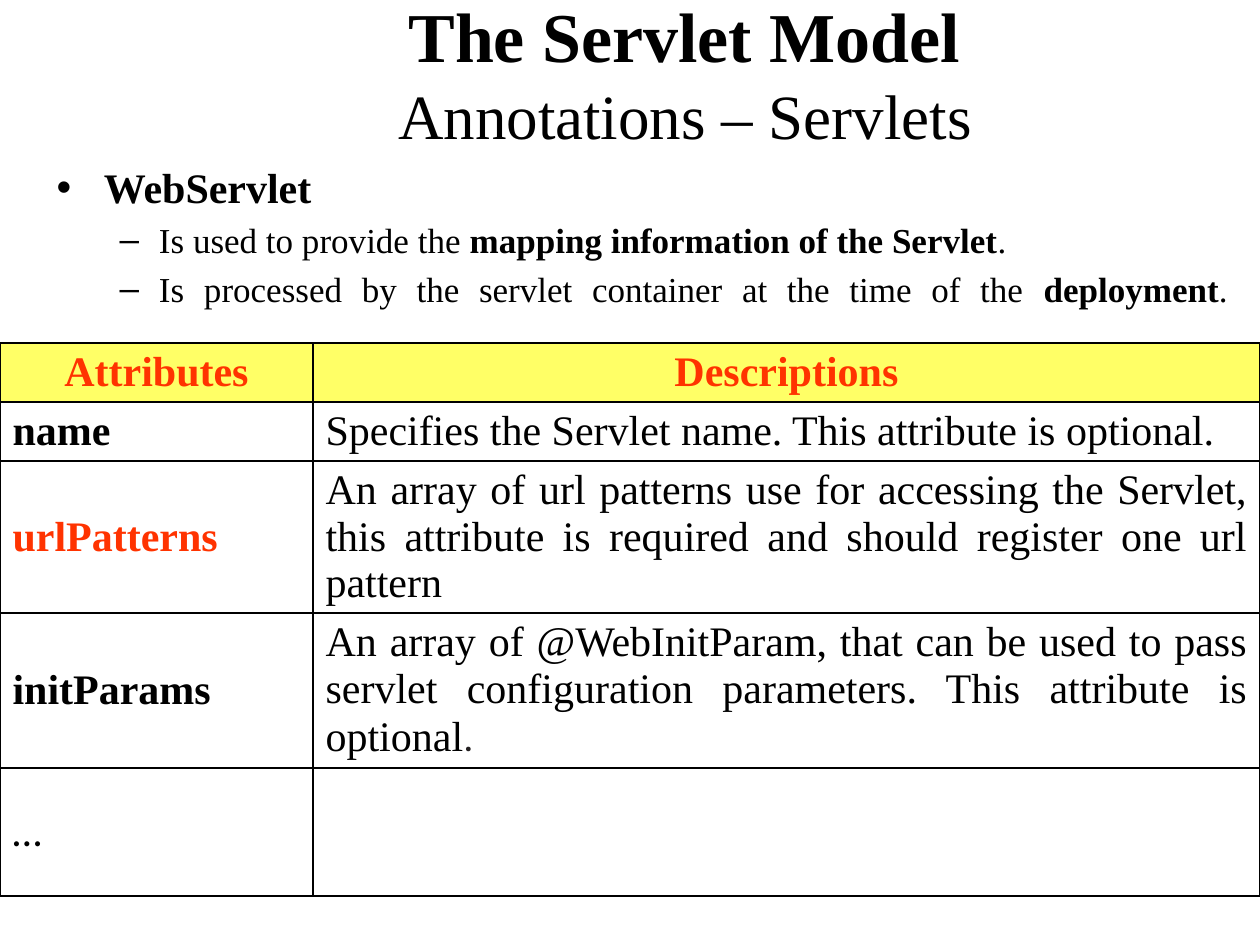
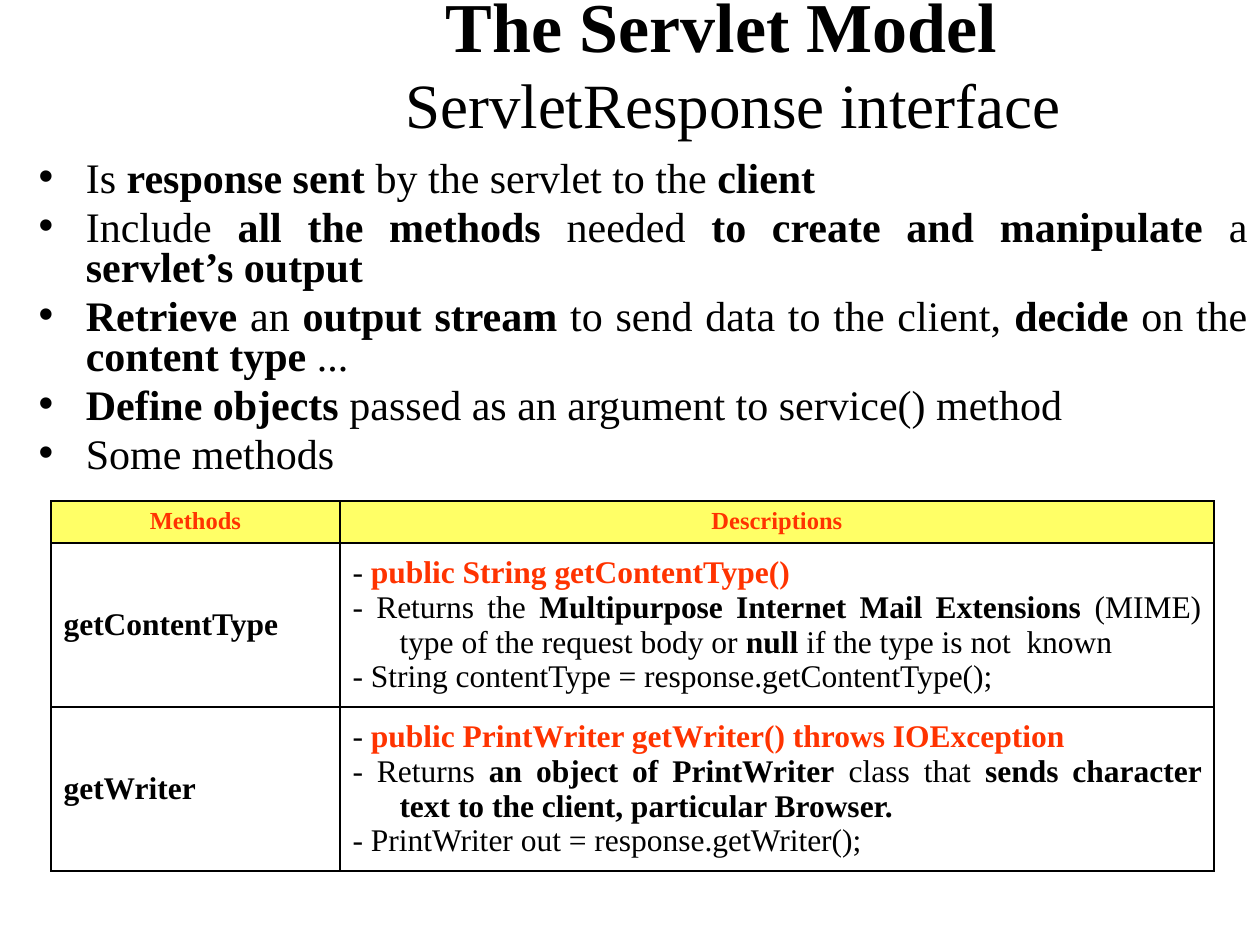
from lxml.etree import SubElement
from pptx import Presentation
from pptx.dml.color import RGBColor
from pptx.enum.text import MSO_ANCHOR, MSO_AUTO_SIZE, PP_ALIGN
from pptx.oxml.ns import qn
from pptx.util import Emu, Pt

EMU_PER_PX = 914400 / 126
HANGING = 47
ACCENT = "FF3300"
HEADER_FILL = "FFFF66"
INK = "000000"
PAPER = "FFFFFF"
SERIF = "Times New Roman"

MARKS = {
    "^": {"bold": True, "color": ACCENT},
    "~": {"name": "Roboto Condensed", "color": "231F20"},
    "%": {"name": "Calibri"},
}


def px(length):
    return Emu(round(length * EMU_PER_PX))


def color(value):
    return RGBColor.from_string(value)


def apply_format(target, values):
    for name, value in values.items():
        setattr(target, name, value)


class Deck:
    def __init__(self, width, height):
        self.presentation = Presentation()
        apply_format(self.presentation, {"slide_width": px(width), "slide_height": px(height)})
        self.slide = None

    def new_slide(self):
        self.slide = self.presentation.slides.add_slide(self.presentation.slide_layouts[1])

    def add_text(self, paragraph, text, size):
        for position, segment in enumerate(text.split("*")):
            if segment == "\n":
                self.line_break(paragraph, size)
            elif segment:
                values = {"name": SERIF, "size": Pt(size), "bold": False, "color": INK}
                if position % 2:
                    values.update(MARKS.get(segment[0], {"bold": True}))
                    segment = segment[1:] if segment[0] in MARKS else segment
                run = paragraph.add_run()
                run.text = segment
                run.font.color.rgb = color(values.pop("color"))
                apply_format(run.font, values)

    def line_break(self, paragraph, size):
        paragraph.add_line_break()
        SubElement(paragraph._p[-1], qn("a:rPr"), sz=str(size * 100))

    def place(self, shape, box, **frame_format):
        apply_format(shape, dict(zip(("left", "top", "width", "height"), map(px, box))))
        frame = shape.text_frame
        apply_format(frame, {"word_wrap": True, "auto_size": MSO_AUTO_SIZE.NONE, **frame_format})
        return frame

    def title(self, box, lines, break_size, **paragraph_format):
        frame = self.place(self.slide.shapes.title, box, vertical_anchor=MSO_ANCHOR.MIDDLE)
        paragraph = frame.paragraphs[0]
        apply_format(paragraph, {"alignment": PP_ALIGN.CENTER, **paragraph_format})
        first_line, *second_line = lines
        self.add_text(paragraph, *first_line)
        self.line_break(paragraph, break_size)
        for text, size in second_line:
            self.add_text(paragraph, text, size)

    def bullets(self, box, items, **paragraph_format):
        frame = self.place(self.slide.placeholders[1], box)
        for index, (level, size, text) in enumerate(items):
            paragraph = frame.add_paragraph() if index else frame.paragraphs[0]
            apply_format(paragraph, {"level": level, "alignment": PP_ALIGN.JUSTIFY, **paragraph_format})
            self.add_text(paragraph, text, size)

    def table(self, left, top, widths, heights, rows, header_size, size, hanging=0):
        table = self.slide.shapes.add_table(
            len(rows), len(widths), px(left), px(top), px(sum(widths)), px(sum(heights))
        ).table
        apply_format(table, {"first_row": False, "horz_banding": False})
        for column, width in zip(table.columns, widths):
            column.width = px(width)
        for row, height in zip(table.rows, heights):
            row.height = px(height)
        for row_index, row in enumerate(rows):
            for column_index, text in enumerate(row):
                cell = table.cell(row_index, column_index)
                if row_index == 0:
                    self.cell(cell, text, header_size, HEADER_FILL, PP_ALIGN.CENTER, MSO_ANCHOR.TOP)
                else:
                    alignment = PP_ALIGN.JUSTIFY if column_index else PP_ALIGN.LEFT
                    self.cell(cell, text, size, PAPER, alignment, MSO_ANCHOR.MIDDLE, hanging)

    def cell(self, cell, text, size, fill, alignment, anchor, hanging=0):
        cell.vertical_anchor = anchor
        properties = cell._tc.get_or_add_tcPr()
        for side in ("a:lnL", "a:lnR", "a:lnT", "a:lnB"):
            line = SubElement(properties, qn(side), w=str(Pt(1)))
            SubElement(SubElement(line, qn("a:solidFill")), qn("a:srgbClr"), val=INK)
        cell.fill.solid()
        cell.fill.fore_color.rgb = color(fill)
        frame = cell.text_frame
        for index, line_text in enumerate(text.split("\n")):
            paragraph = frame.add_paragraph() if index else frame.paragraphs[0]
            paragraph.alignment = alignment
            if hanging:
                paragraph_properties = paragraph._p.get_or_add_pPr()
                paragraph_properties.set("marL", str(px(hanging)))
                paragraph_properties.set("indent", str(px(-hanging)))
            self.add_text(paragraph, line_text, size)


def annotations_slide(deck):
    deck.new_slide()
    deck.title(
        (126, 0, 1134, 145),
        [("*The Servlet Model *", 40), ("Annotations – Servlets ", 36)],
        break_size=40,
    )
    deck.bullets((44, 155, 1216, 163), [
        (0, 24, "*WebServlet *"),
        (1, 20, "Is used to provide the *mapping information of the Servlet*."),
        (1, 20, "Is processed by the servlet container at the time of the *deployment*. *\n*"),
    ])
    deck.table(0, 343, (313, 947), (59, 59, 152, 155, 128), [
        ("*^Attributes*", "*^Descriptions*"),
        ("*name*", "Specifies the Servlet name. This attribute is optional."),
        ("*^urlPatterns*", "An array of url patterns use for accessing the Servlet, this attribute "
                           "is required and should register one url pattern"),
        ("*initParams*", "An array of @WebInitParam, that can be used to pass servlet "
                         "configuration parameters. This attribute is optional*~.*"),
        ("*%…*", ""),
    ], header_size=24, size=24)


def response_slide(deck):
    deck.new_slide()
    deck.title(
        (183, 10, 1077, 130),
        [("*The Servlet Model*", 40), ("* *", 54), ("ServletResponse interface", 36)],
        break_size=44,
        line_spacing=0.7,
    )
    items = (
        "Is *response sent *by the servlet to the *client*",
        "Include *all the methods *needed *to create and manipulate *a *servlet’s output*",
        "*Retrieve* an *output stream *to send data to the client, *decide* on the *content type *...",
        "*Define objects* passed as an argument to service() method ",
        "Some methods",
    )
    deck.bullets((26, 155, 1234, 343), [(0, 24, text) for text in items], line_spacing=0.8)
    deck.table(51, 501, (289, 874), (42, 164, 164), [
        ("*^Methods*", "*^Descriptions*"),
        ("*getContentType*",
         "- *^public String getContentType()*\n"
         "- Returns the *Multipurpose Internet Mail Extensions* (MIME) type of the request body "
         "or *null* if the type is not  known\n"
         "- String contentType = response.getContentType();"),
        ("*getWriter*",
         "- *^public PrintWriter getWriter() throws IOException*\n"
         "- Returns *an object of PrintWriter* class that *sends character text to the client, "
         "particular Browser.*\n"
         "- PrintWriter out = response.getWriter();"),
    ], header_size=14, size=18, hanging=HANGING)


def main():
    deck = Deck(1260, 945)
    annotations_slide(deck)
    response_slide(deck)
    deck.presentation.save("out.pptx")


if __name__ == "__main__":
    main()
